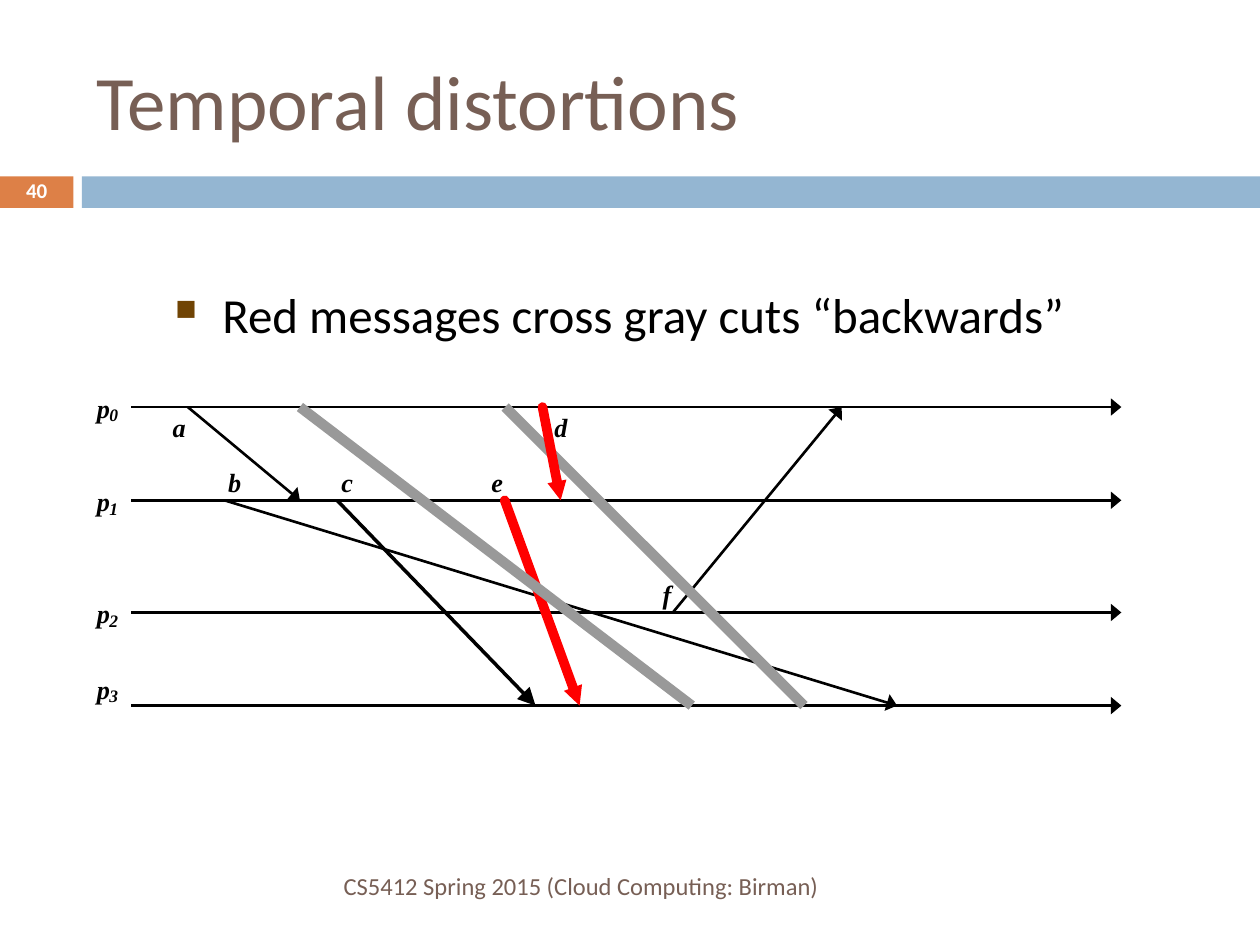
from collections import namedtuple
from dataclasses import dataclass

from lxml.etree import SubElement
from pptx import Presentation
from pptx.dml.color import RGBColor
from pptx.enum.shapes import MSO_CONNECTOR, MSO_SHAPE
from pptx.enum.text import MSO_ANCHOR, MSO_AUTO_SIZE, PP_ALIGN
from pptx.oxml.ns import qn
from pptx.util import Pt

Box = namedtuple("Box", "left top width height")


@dataclass(frozen=True)
class Theme:
    brown: RGBColor = RGBColor.from_string("775F55")
    orange: RGBColor = RGBColor.from_string("DD8047")
    blue: RGBColor = RGBColor.from_string("94B6D2")
    black: RGBColor = RGBColor.from_string("000000")
    white: RGBColor = RGBColor.from_string("FFFFFF")
    red: RGBColor = RGBColor.from_string("FF0000")
    gray: RGBColor = RGBColor.from_string("999999")
    bullet: str = "704404"
    sans: str = "Calibri"
    serif: str = "Times New Roman"
    title: int = 44
    body: int = 28
    footer: int = 14
    number: int = 12
    label: int = 15
    subscript: int = 10


theme = Theme()
TITLE = {"name": theme.sans, "size": Pt(theme.title), "color": theme.brown}
BODY = {"name": theme.sans, "size": Pt(theme.body), "color": theme.black}
FOOTER = {"name": theme.sans, "size": Pt(theme.footer), "color": theme.brown}
NUMBER = {"name": theme.sans, "size": Pt(theme.number), "color": theme.white, "bold": True}
LABEL = {"name": theme.serif, "size": Pt(theme.label), "color": theme.black, "bold": True, "italic": True}
SUBSCRIPT = {**LABEL, "size": Pt(theme.subscript)}

MESSAGE = {"color": theme.black, "width": 1.5, "head": ("lg", "med")}
HEAVY_MESSAGE = {"color": theme.black, "width": 2, "head": ("lg", "lg")}
RED_MESSAGE = {"color": theme.red, "width": 5.5, "head": ("sm", "sm"), "cap": "rnd"}
CUT = {"color": theme.gray, "width": 5.87}

LANES = [10.8, 64.1, 128.2, 181.4]
PROCESS_TOPS = [2.2, 55.5, 119.5, 162.7]
MESSAGES = [
    (53.3, 0, 117.4, 1),
    (74.2, 1, 458.6, 3),
    (330.5, 2, 427, 0),
]
EVENTS = {
    "a": (44.6, 13),
    "f": (324.7, 108.7),
    "e": (226.8, 44.6),
    "b": (76.3, 44.6),
    "c": (141.1, 44.6),
    "d": (262.8, 13),
}
FRONT_LINES = [
    (234.7, 0, 405.4, 3, CUT),
    (256, 0, 266.4, 1, RED_MESSAGE),
    (234.4, 1, 277.2, 3, RED_MESSAGE),
    (117.4, 0, 341.3, 3, CUT),
    (138.6, 1, 252, 3, HEAVY_MESSAGE),
]


def points(box):
    return [Pt(length) for length in box]


def write(shape, text, format_values, align=PP_ALIGN.LEFT, anchor=MSO_ANCHOR.MIDDLE, wrap=True):
    frame = shape.text_frame
    frame.text = text
    frame.word_wrap = wrap
    frame.auto_size = MSO_AUTO_SIZE.NONE
    frame.vertical_anchor = anchor
    paragraph = frame.paragraphs[0]
    paragraph.alignment = align
    for name, value in format_values.items():
        if name == "color":
            paragraph.runs[0].font.color.rgb = value
        else:
            setattr(paragraph.runs[0].font, name, value)
    return paragraph


def add_rectangle(slide, box, color):
    shape = slide.shapes.add_shape(MSO_SHAPE.RECTANGLE, *points(box))
    shape.shadow.inherit = False
    shape.fill.solid()
    shape.fill.fore_color.rgb = color
    shape.line.fill.background()


def add_label(slide, text, left, top, format_values):
    size = format_values["size"].pt
    shape = slide.shapes.add_textbox(*points((left, top, size / 2, size * 1.2)))
    write(shape, text, format_values, anchor=MSO_ANCHOR.TOP, wrap=False)
    for side in ("left", "top", "right", "bottom"):
        setattr(shape.text_frame, f"margin_{side}", 0)


def add_line(slide, begin, end, style):
    connector = slide.shapes.add_connector(MSO_CONNECTOR.STRAIGHT, *points(begin + end))
    connector.line.color.rgb = style["color"]
    connector.line.width = Pt(style["width"])
    outline = connector.line._get_or_add_ln()
    if "cap" in style:
        outline.set("cap", style["cap"])
    if "head" in style:
        width, length = style["head"]
        SubElement(outline, qn("a:tailEnd"), type="triangle", w=width, len=length)
    SubElement(connector._element.spPr, qn("a:effectLst"))


def add_header(slide, box):
    band_top = box.top + 100.8
    add_rectangle(slide, Box(box.left, band_top, 42, 18), theme.orange)
    add_rectangle(slide, Box(box.left + 46.8, band_top, box.width - 46.8, 18), theme.blue)
    title = slide.shapes.title
    title_box = Box(box.left + 48, box.top + 18, 642, 78)
    for name, length in title_box._asdict().items():
        setattr(title, name, Pt(length))
    write(title, "Temporal distortions", TITLE)
    number = slide.shapes.add_textbox(*points((box.left, band_top - 0.7, 42, 19.4)))
    paragraph = write(number, "40", NUMBER, align=PP_ALIGN.CENTER)
    paragraph.line_spacing = 0.8


def add_body(slide, box):
    shape = slide.shapes.add_textbox(*points(box))
    paragraph = write(shape, "Red messages cross gray cuts “backwards”", BODY, anchor=MSO_ANCHOR.TOP)
    properties = paragraph._p.get_or_add_pPr()
    properties.set("marL", str(Pt(27)))
    properties.set("indent", str(Pt(-27)))
    color = SubElement(properties, qn("a:buClr"))
    SubElement(color, qn("a:srgbClr"), val=theme.bullet)
    SubElement(properties, qn("a:buSzPct"), val="60000")
    SubElement(properties, qn("a:buChar"), char="■")


def add_timeline_diagram(slide, box):
    def place(x, y):
        return box.left + x, box.top + y

    def link(begin_x, begin_lane, end_x, end_lane, style):
        add_line(slide, place(begin_x, LANES[begin_lane]), place(end_x, LANES[end_lane]), style)

    add_rectangle(slide, box, theme.white)
    for lane in range(len(LANES)):
        link(21, lane, 586.8, lane, MESSAGE)
    for message in MESSAGES:
        link(*message, MESSAGE)
    for process, top in enumerate(PROCESS_TOPS):
        add_label(slide, "p", *place(1.4, top), LABEL)
        add_label(slide, str(process), *place(8.6, top + 7), SUBSCRIPT)
    for event, position in EVENTS.items():
        add_label(slide, event, *place(*position), LABEL)
    for front_line in FRONT_LINES:
        link(*front_line)


def add_footer(slide, box):
    shape = slide.shapes.add_textbox(*points(box))
    write(shape, "CS5412 Spring 2015 (Cloud Computing: Birman)", FOOTER, align=PP_ALIGN.RIGHT)


def main():
    presentation = Presentation()
    presentation.slide_width, presentation.slide_height = Pt(720), Pt(540)
    slide = presentation.slides.add_slide(presentation.slide_layouts[5])
    add_header(slide, Box(0, 0, 720, 120))
    add_body(slide, Box(93, 159, 612, 324))
    add_timeline_diagram(slide, Box(54, 221.8, 588, 186))
    add_footer(slide, Box(48, 492, 427, 28.8))
    presentation.save("out.pptx")


if __name__ == "__main__":
    main()
